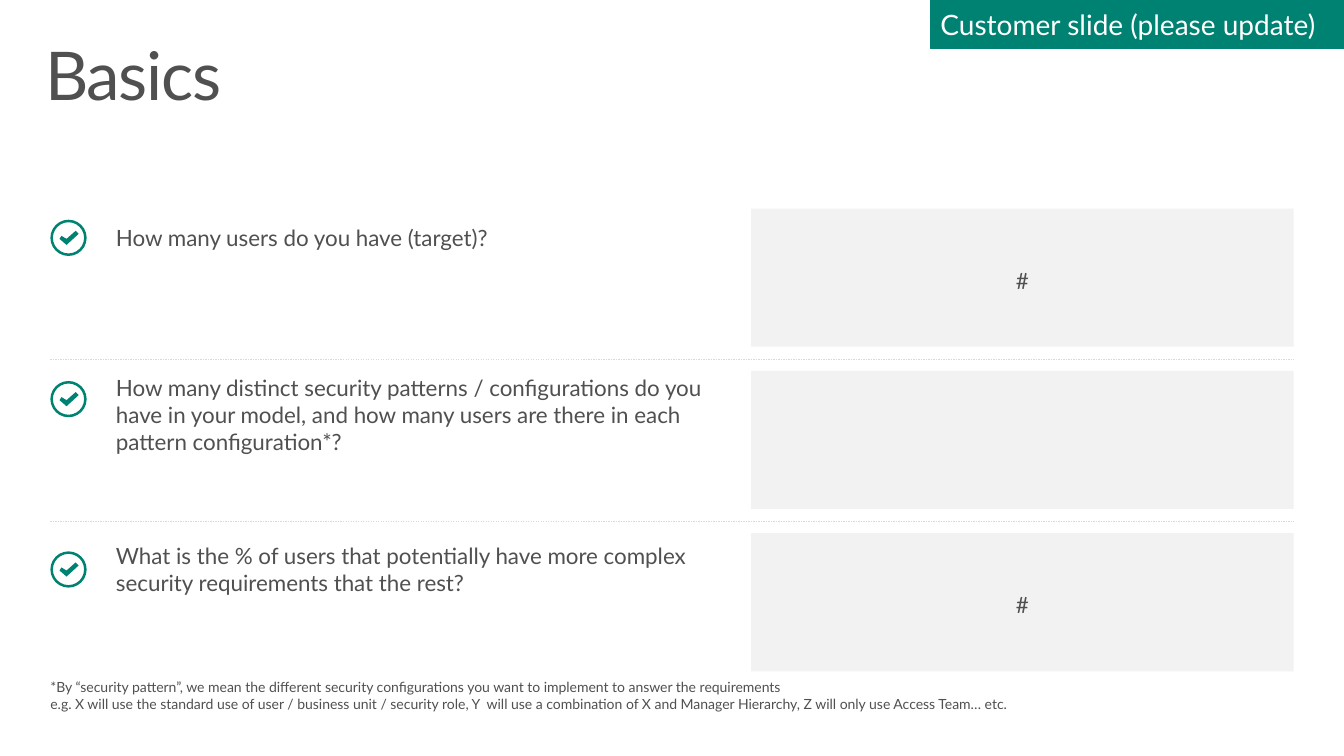
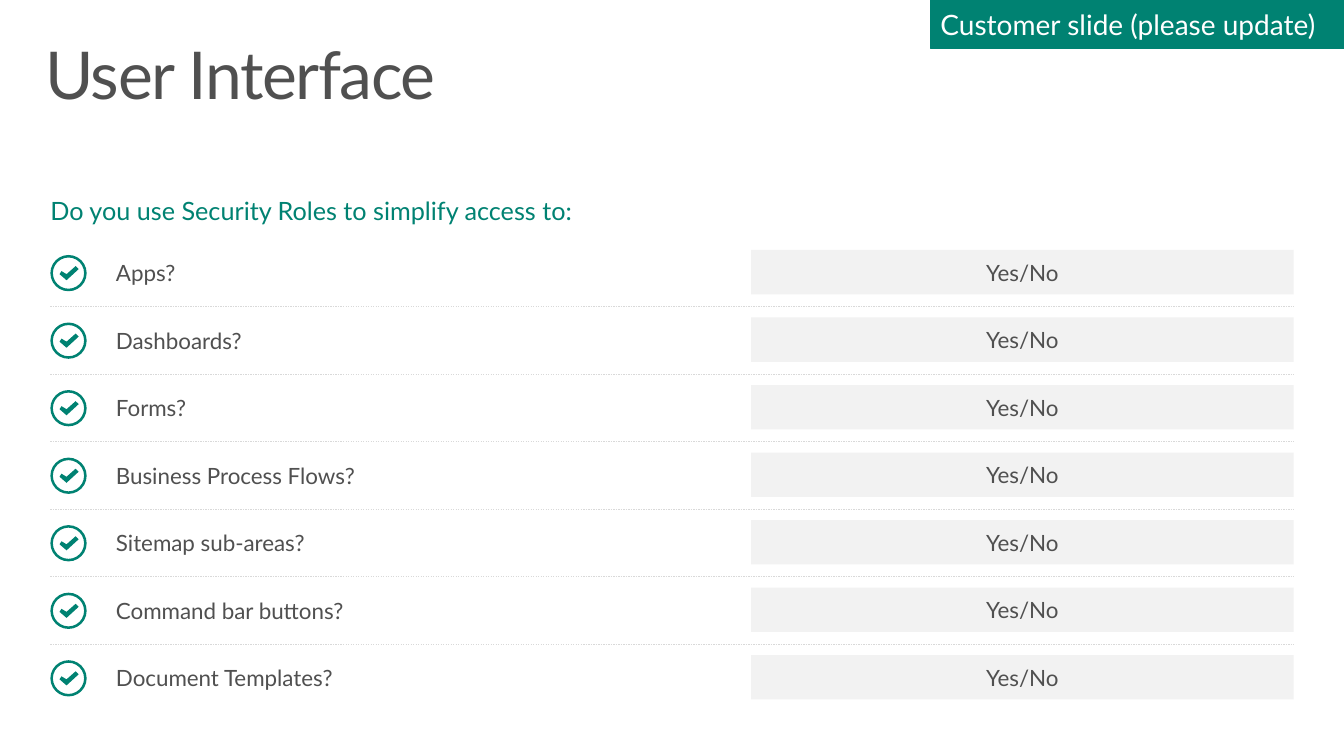
"""Build the two customer questionnaire slides."""
from dataclasses import dataclass

from lxml import etree
from pptx import Presentation
from pptx import slide as sl
from pptx import util as u
from pptx.dml.color import RGBColor
from pptx.enum import dml, shapes, text
from pptx.oxml import ns
from pptx.shapes.autoshape import Shape
from pptx.text.text import TextFrame

FONT = "Lato"
GREEN, INK, PANEL, RULE, WHITE = "008272", "505050", "F2F2F2", "D9D9D9", "FFFFFF"
LEFT, RIGHT = 0.5, 12.83
PANEL_LEFT, PANEL_WIDTH = 7.45, 5.38
RULE_GAP = 0.12
RING = 0.36
TICK = ((0.07, -0.07), (-0.02, 0.01), (-0.07, -0.02), (-0.09, 0.01), (-0.02, 0.07), (0.1, -0.04))
PLAIN_INSETS = (0.1, 0.05, 0.1, 0.05)


@dataclass(frozen=True)
class Box:
    """A rectangle in inches."""
    left: float
    top: float
    width: float
    height: float

    def lengths(self) -> tuple[u.Length, ...]:
        """Return the rectangle as lengths."""
        return tuple(u.Inches(v) for v in (self.left, self.top, self.width, self.height))


@dataclass(frozen=True)
class Question:
    """A question with its answer and the places of its text and tick."""
    wording: str
    answer: str
    top: float
    height: float
    tick_y: float


@dataclass(frozen=True)
class Rows:
    """Evenly spaced answer panels."""
    top: float
    step: float
    height: float
    insets: tuple[float, float, float, float]


def colour(value: str) -> RGBColor:
    """Turn a hex string into a colour."""
    return RGBColor.from_string(value)


def write(frame: TextFrame, wording: str, size: float, ink: str = INK,
          insets: tuple[float, float, float, float] = PLAIN_INSETS,
          anchor: text.MSO_ANCHOR = text.MSO_ANCHOR.MIDDLE,
          align: text.PP_ALIGN = text.PP_ALIGN.LEFT) -> None:
    """Fill a text frame with one formatted paragraph."""
    frame.text = wording
    frame.word_wrap = True
    frame.auto_size = text.MSO_AUTO_SIZE.NONE
    frame.vertical_anchor = anchor
    frame.margin_left, frame.margin_top, frame.margin_right, frame.margin_bottom = map(u.Inches, insets)
    paragraph = frame.paragraphs[0]
    paragraph.alignment = align
    paragraph.font.name = FONT
    paragraph.font.size = u.Pt(size)
    paragraph.font.color.rgb = colour(ink)


def paint(shape: Shape, fill: str) -> None:
    """Give a shape a flat fill without line or shadow."""
    shape.shadow.inherit = False
    shape.fill.solid()
    shape.fill.fore_color.rgb = colour(fill)
    shape.line.fill.background()


def add_panel(slide: sl.Slide, box: Box, fill: str) -> Shape:
    """Draw a flat rectangle."""
    panel = slide.shapes.add_shape(shapes.MSO_SHAPE.RECTANGLE, *box.lengths())
    paint(panel, fill)
    return panel


def add_note(slide: sl.Slide, box: Box, wording: str, size: float, ink: str,
             anchor: text.MSO_ANCHOR) -> None:
    """Add a text box aligned with the left margin."""
    note = slide.shapes.add_textbox(*box.lengths())
    write(note.text_frame, wording, size, ink, (0, 0.05, 0, 0.05), anchor)


def add_rule(slide: sl.Slide, y: float) -> None:
    """Draw a thin dashed divider across the slide."""
    rule = slide.shapes.add_connector(
        shapes.MSO_CONNECTOR.STRAIGHT, u.Inches(LEFT), u.Inches(y), u.Inches(RIGHT), u.Inches(y))
    rule.line.color.rgb = colour(RULE)
    rule.line.width = u.Pt(0.25)
    rule.line.dash_style = dml.MSO_LINE.DASH
    etree.SubElement(rule._element.spPr, ns.qn("a:effectLst"))


def add_question(slide: sl.Slide, question: Question) -> None:
    """Draw a question with its ringed tick as one group."""
    group = slide.shapes.add_group_shape().shapes
    wording = group.add_textbox(*Box(0.55, question.top, 6.75, question.height).lengths())
    write(wording.text_frame, question.wording, 16, insets=(0.6, 0.05, 0.1, 0.05))
    ring_box = Box(LEFT, question.tick_y - RING / 2, RING, RING)
    ring = group.add_shape(shapes.MSO_SHAPE.DONUT, *ring_box.lengths())
    ring.adjustments[0] = 0.07
    paint(ring, GREEN)
    centre = LEFT + RING / 2
    points = [(u.Inches(centre + x), u.Inches(question.tick_y + y)) for x, y in TICK]
    outline = group.build_freeform(*points[0])
    outline.add_line_segments(points[1:], close=True)
    paint(outline.convert_to_shape(), GREEN)


def add_rows(slide: sl.Slide, rows: Rows, questions: list[Question]) -> None:
    """Draw questions, answer panels and the dividers between them."""
    for index, question in enumerate(questions):
        top = rows.top + index * rows.step
        if index:
            add_rule(slide, top - rows.step + rows.height + RULE_GAP)
        add_question(slide, question)
        panel = add_panel(slide, Box(PANEL_LEFT, top, PANEL_WIDTH, rows.height), PANEL)
        if question.answer:
            write(panel.text_frame, question.answer, 16, insets=rows.insets, align=text.PP_ALIGN.CENTER)


def add_slide(deck: Presentation, heading: str, size: float) -> sl.Slide:
    """Add a slide with its heading and the customer banner."""
    slide = deck.slides.add_slide(deck.slide_layouts.get_by_name("Title Only"))
    title = slide.shapes.title
    title.left, title.top, title.width, title.height = Box(0.29, 0.32, 12.75, 0.98).lengths()
    write(title.text_frame, heading, size, insets=(0.16, 0.1, 0.16, 0.1), anchor=text.MSO_ANCHOR.TOP)
    paragraph = title.text_frame.paragraphs[0]
    paragraph.line_spacing = 0.9
    paragraph.runs[0].font._element.set("spc", "-100")
    banner = add_panel(slide, Box(9.23, 0, 4.1, 0.48), GREEN)
    banner.line.color.rgb = colour(GREEN)
    banner.line.width = u.Pt(0.25)
    write(banner.text_frame, "Customer slide (please update)", 20, WHITE)
    return slide


def add_basics(deck: Presentation) -> None:
    """Build the slide on users and security patterns."""
    slide = add_slide(deck, "Basics", 48)
    questions = [
        Question("How many users do you have (target)?", "#", 2.07, 0.57, 2.36),
        Question("How many distinct security patterns / configurations do you have in your model, "
                 "and how many users are there in each pattern configuration*?", "", 3.66, 0.91, 3.96),
        Question("What is the % of users that potentially have more complex security requirements "
                 "that the rest?", "#", 5.36, 0.57, 5.65),
    ]
    add_rows(slide, Rows(2.07, 1.61, 1.37, (0.1, 0.1, 0.1, 0.05)), questions)
    add_note(slide, Box(LEFT, 6.68, 12.33, 0.44),
             "*By “security pattern”, we mean the different security configurations you want to "
             "implement to answer the requirements\v"
             "e.g. X will use the standard use of user / business unit / security role, Y  will use a "
             "combination of X and Manager Hierarchy, Z will only use Access Team… etc.",
             10, INK, text.MSO_ANCHOR.TOP)


def add_user_interface(deck: Presentation) -> None:
    """Build the slide on access through security roles."""
    slide = add_slide(deck, "User Interface", 47.1)
    add_note(slide, Box(LEFT, 1.85, 7.14, 0.48), "Do you use Security Roles to simplify access to:",
             18, GREEN, text.MSO_ANCHOR.MIDDLE)
    rows = Rows(2.48, 0.67, 0.44, PLAIN_INSETS)
    areas = ("Apps?", "Dashboards?", "Forms?", "Business Process Flows?", "Sitemap sub-areas?",
             "Command bar buttons?", "Document Templates?")
    questions = [Question(area, "Yes/No", 2.52 + i * rows.step, 0.37, 2.71 + i * rows.step)
                 for i, area in enumerate(areas)]
    add_rows(slide, rows, questions)


def main() -> None:
    """Build and save the presentation."""
    deck = Presentation()
    deck.slide_width, deck.slide_height = u.Inches(13.33), u.Inches(7.5)
    add_basics(deck)
    add_user_interface(deck)
    deck.save("out.pptx")


if __name__ == "__main__":
    main()
